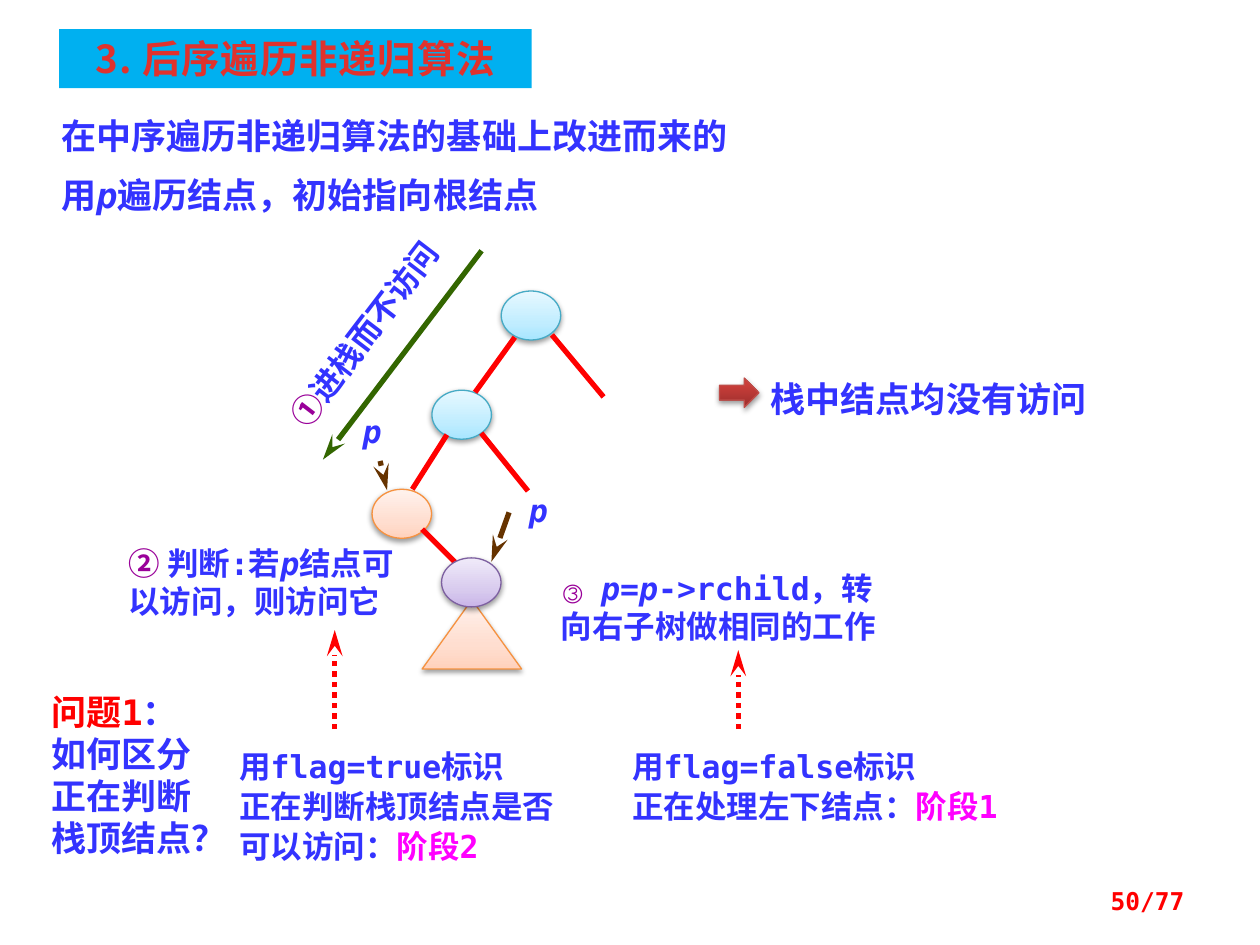
from dataclasses import dataclass
from typing import Optional

from lxml import etree
from pptx import Presentation
from pptx.dml.color import RGBColor
from pptx.enum import dml, shapes, text
from pptx.oxml import ns
from pptx.util import Pt

COLORS = {
    "blue": "3333FF", "red": "FF0000", "purple": "990099", "magenta": "FF00FF",
    "brown": "663300", "green": "336600", "title": "E0322D", "banner": "00B0F0",
}
GRADIENTS = {
    "sky": ((0, "A7E6FF"), (35, "C1EDFF"), (100, "E7F8FF")),
    "peach": ((0, "FFD2BD"), (35, "FFDED0"), (100, "FFF2ED")),
    "violet": ((0, "C9B5E8"), (35, "D8CBEE"), (100, "F0EAF9")),
    "brick": ((0, "9C2F2D"), (80, "CB3E3A"), (100, "CE3B37")),
}
OUTLINES = {"sky": "46AAC5", "peach": "F69240", "violet": "7D60A0", "brick": "BF4C48"}
MONO = "DejaVu Sans Mono"
SANS = "Noto Sans CJK SC"
ALIGN = text.PP_ALIGN
KIND = shapes.MSO_SHAPE
NODE_SIZE = (34, 28)


@dataclass
class Run:
    text: str
    color: Optional[str] = None
    italic: bool = False


@dataclass
class Label:
    left: float
    top: float
    width: float
    height: float
    paragraphs: list
    size: float = 18
    font: str = MONO
    color: str = "blue"
    align: ALIGN = ALIGN.LEFT
    inset: bool = True
    rotation: float = 0
    line_spacing: Optional[float] = None
    anchor: text.MSO_ANCHOR = text.MSO_ANCHOR.TOP


@dataclass
class Solid:
    kind: KIND
    left: float
    top: float
    width: float
    height: float
    palette: str


@dataclass
class Line:
    start: tuple
    end: tuple
    color: str = "red"
    arrow: bool = False
    dotted: bool = False


def rgb(name: str) -> RGBColor:
    return RGBColor.from_string(COLORS[name])


def add_child(parent, tag: str, **attributes):
    return etree.SubElement(parent, ns.qn(tag), attributes)


def write_text(frame, label: Label) -> None:
    frame.word_wrap = True
    frame.vertical_anchor = label.anchor
    horizontal, vertical = (7.2, 3.6) if label.inset else (0, 0)
    frame.margin_left = frame.margin_right = Pt(horizontal)
    frame.margin_top = frame.margin_bottom = Pt(vertical)
    for index, runs in enumerate(label.paragraphs):
        paragraph = frame.add_paragraph() if index else frame.paragraphs[0]
        paragraph.alignment = label.align
        if label.line_spacing:
            paragraph.line_spacing = Pt(label.line_spacing)
        font = paragraph.font
        font.size, font.bold, font.name = Pt(label.size), True, label.font
        font.color.rgb = rgb(label.color)
        defaults = paragraph._p.pPr.find(ns.qn("a:defRPr"))
        add_child(defaults, "a:ea", typeface=SANS)
        for part in runs:
            run = paragraph.add_run()
            run.text = part.text
            if part.color:
                run.font.color.rgb = rgb(part.color)
            if part.italic:
                run.font.italic = True


def draw_label(slide, label: Label) -> None:
    box = slide.shapes.add_textbox(
        Pt(label.left), Pt(label.top), Pt(label.width), Pt(label.height))
    box.rotation = label.rotation
    write_text(box.text_frame, label)


def draw_banner(slide, label: Label) -> None:
    shape = slide.shapes.add_shape(
        KIND.RECTANGLE, Pt(label.left), Pt(label.top), Pt(label.width), Pt(label.height))
    shape.shadow.inherit = False
    shape.fill.solid()
    shape.fill.fore_color.rgb = rgb("banner")
    shape.line.fill.background()
    write_text(shape.text_frame, label)
    shape.text_frame.paragraphs[0]._p.pPr.find(ns.qn("a:defRPr")).set("spc", "50")


def draw_solid(slide, solid: Solid) -> None:
    shape = slide.shapes.add_shape(
        solid.kind, Pt(solid.left), Pt(solid.top), Pt(solid.width), Pt(solid.height))
    shape.line.color.rgb = RGBColor.from_string(OUTLINES[solid.palette])
    shape.line.width = Pt(0.75)
    shape.fill.gradient()
    properties = shape._element.spPr
    gradient = properties.find(ns.qn("a:gradFill"))
    for child in list(gradient):
        gradient.remove(child)
    stops = add_child(gradient, "a:gsLst")
    for position, color in GRADIENTS[solid.palette]:
        stop = add_child(stops, "a:gs", pos=str(position * 1000))
        add_child(stop, "a:srgbClr", val=color)
    add_child(gradient, "a:lin", ang="16200000", scaled="0")
    shape.shadow.inherit = False
    shadow = add_child(
        properties.find(ns.qn("a:effectLst")), "a:outerShdw", blurRad=str(Pt(3.1)),
        dist=str(Pt(1.6)), dir="5400000", rotWithShape="0")
    shade = add_child(shadow, "a:srgbClr", val="000000")
    add_child(shade, "a:alpha", val="38000")


def draw_line(slide, line: Line) -> None:
    connector = slide.shapes.add_connector(
        shapes.MSO_CONNECTOR.STRAIGHT, *(Pt(value) for value in line.start + line.end))
    connector.line.color.rgb = rgb(line.color)
    connector.line.width = Pt(3)
    if line.dotted:
        connector.line.dash_style = dml.MSO_LINE.ROUND_DOT
    if line.arrow:
        add_child(connector.line._get_or_add_ln(), "a:tailEnd",
                  type="stealth", w="med", len="lg")
    add_child(connector._element.spPr, "a:effectLst")


def node(left: float, top: float, palette: str) -> Solid:
    return Solid(KIND.OVAL, left, top, *NODE_SIZE, palette)


def pointer(left: float, top: float) -> Label:
    return Label(left, top, 22, 21.6, [[Run("p", italic=True)]],
                 align=ALIGN.CENTER, inset=False)


TITLE = Label(33.8, 16.6, 270, 33.8, [[Run("3. 后序遍历非递归算法")]], size=22,
              font=SANS, color="title", align=ALIGN.CENTER)
UPPER_NODES = [node(286.4, 166.3, "sky"), node(246.8, 223, "sky"),
               node(212.6, 279.6, "peach")]
LINES = [
    Line((294.2, 192.7), (271.5, 224.2)),
    Line((255.4, 248.4), (235.6, 279.6)),
    Line((315.4, 191.4), (344.9, 226.8)),
    Line((241.2, 302.4), (269.3, 330.5)),
    Line((275, 247.5), (301.7, 280.6)),
    Line((217.2, 263.4), (221.2, 280.2), "brown", True),
    Line((275.2, 143.3), (184.5, 262.7), "green", True),
    Line((290.9, 292.8), (280.8, 321), "brown", True),
    Line((191.3, 416.7), (191.3, 360), arrow=True, dotted=True),
    Line((421.9, 416.7), (421.9, 371.5), arrow=True, dotted=True),
]
LOWER_SOLIDS = [
    Solid(KIND.ISOSCELES_TRIANGLE, 241.2, 342.7, 56.9, 39.6, "peach"),
    node(252.3, 318.8, "violet"),
    Solid(KIND.RIGHT_ARROW, 411.1, 216, 22.6, 16.8, "brick"),
]
LABELS = [
    Label(28, 62, 416, 31.7, [[Run("在中序遍历非递归算法的基础上改进而来的")]],
          size=20, font=SANS),
    Label(28, 95.8, 360, 31.7, [[Run("用"), Run("p", italic=True),
                                 Run("遍历结点，初始指向根结点")]], size=20),
    Label(105.8, 176.4, 204.5, 28.8, [[Run("①", "purple"), Run("进栈而不访问")]],
          align=ALIGN.CENTER, rotation=307.4),
    pointer(201.6, 235.4),
    pointer(296.6, 280.8),
    Label(73.4, 311, 163.4, 44, [[Run("② ", "purple"), Run("判断:若"),
                                  Run("p", italic=True),
                                  Run("结点可以访问，则访问它")]], inset=False),
    Label(314.6, 325.4, 191.5, 44, [[Run("③ ", "purple"), Run("p", italic=True),
                                     Run("="), Run("p", italic=True),
                                     Run("->rchild，转向右子树做相同的工作")]],
          align=ALIGN.CENTER, inset=False),
    Label(129.6, 421.9, 202.3, 77, [[Run("用flag=true标识")],
                                    [Run("正在判断栈顶结点是否可以访问："),
                                     Run("阶段2", "magenta")]], line_spacing=23),
    Label(354.2, 421.9, 247.7, 54, [[Run("用flag=false标识")],
                                    [Run("正在处理左下结点："),
                                     Run("阶段1", "magenta")]], line_spacing=23),
    Label(22.3, 391, 106.6, 104.4, [[Run("问题1", "red"), Run("：")],
                                    [Run("如何区分正在判断栈顶结点？")]], size=20),
    Label(433.4, 208, 208, 33, [[Run("栈中结点均没有访问")]], size=20, line_spacing=28),
    Label(516.2, 500.4, 167.8, 28.8, [[Run("50/77")]], size=14, color="red",
          align=ALIGN.RIGHT, anchor=text.MSO_ANCHOR.MIDDLE),
]


def main() -> None:
    presentation = Presentation()
    presentation.slide_width, presentation.slide_height = Pt(720), Pt(540)
    slide = presentation.slides.add_slide(presentation.slide_layouts[6])
    draw_banner(slide, TITLE)
    for solid in UPPER_NODES:
        draw_solid(slide, solid)
    for line in LINES:
        draw_line(slide, line)
    for solid in LOWER_SOLIDS:
        draw_solid(slide, solid)
    for label in LABELS:
        draw_label(slide, label)
    presentation.save("out.pptx")


if __name__ == "__main__":
    main()
